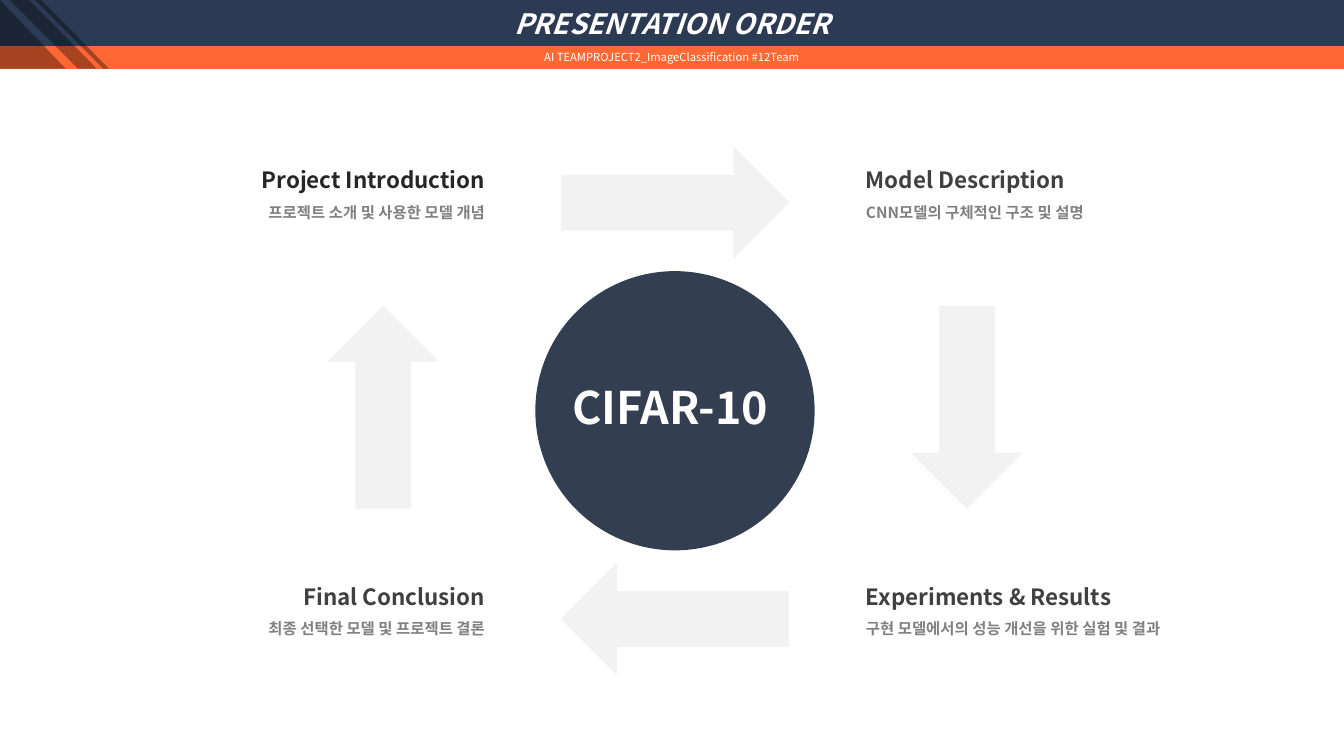
"""Build the presentation order slide: a header band and a four-step cycle."""
import pptx
import pptx.util
import pptx.dml.color
import pptx.enum.shapes
import pptx.enum.text
import pptx.oxml.ns
import lxml.etree

theme = {
    "font": "Noto Sans CJK KR",
    "navy": "2C3A54", "orange": "FF6834", "slate": "333F50",
    "pale": "F2F2F2", "white": "FFFFFF", "black": "000000",
    "first": "262626", "dark": "404040", "gray": "808080",
    "title": 20, "band": 8, "hub": 32, "head": 16, "note": 11, "shade": 35,
}
WIDE, HIGH, UNIT = 133.3, 75, 0.1
KIND = pptx.enum.shapes.MSO_SHAPE
ALIGN = pptx.enum.text.PP_ALIGN
FIT = pptx.enum.text.MSO_AUTO_SIZE
qn = pptx.oxml.ns.qn


def draw(kind, at, tint, edge=False):
    shape = slide.shapes.add_shape(kind, *[pptx.util.Inches(n * UNIT) for n in at])
    shape.shadow.inherit = False
    shape.fill.solid()
    shape.fill.fore_color.rgb = pptx.dml.color.RGBColor.from_string(theme[tint])
    if edge:
        shape.line.color.rgb = shape.fill.fore_color.rgb
        shape.line.width = pptx.util.Pt(1)
    else:
        shape.line.fill.background()
    return shape


def style(para, size, tint, align, bold=True, slant=False):
    para.alignment = align
    for run in para.runs:
        run.font.name = theme["font"]
        run.font.size = pptx.util.Pt(theme[size])
        run.font.bold, run.font.italic = bold, slant
        run.font.color.rgb = pptx.dml.color.RGBColor.from_string(theme[tint])
        east = lxml.etree.Element(qn("a:ea"), typeface=theme["font"])
        run.font.fill
        run.font._element.find(qn("a:latin")).addnext(east)


deck = pptx.Presentation()
deck.slide_width = pptx.util.Inches(WIDE * UNIT)
deck.slide_height = pptx.util.Inches(HIGH * UNIT)
slide = deck.slides.add_slide(deck.slide_layouts[5])

title = slide.shapes.title
title.left, title.top = 0, 0
title.width, title.height = deck.slide_width, pptx.util.Inches(4.6 * UNIT)
title.fill.solid()
title.fill.fore_color.rgb = pptx.dml.color.RGBColor.from_string(theme["navy"])
title.text_frame.text = "PRESENTATION ORDER"
title.text_frame.auto_size = FIT.NONE
title.text_frame.vertical_anchor = pptx.enum.text.MSO_ANCHOR.MIDDLE
style(title.text_frame.paragraphs[0], "title", "white", ALIGN.CENTER, slant=True)

band = draw(KIND.RECTANGLE, (0, 4.6, WIDE, 2.2), "orange", edge=True)
band.text_frame.text = "AI TEAMPROJECT2_ImageClassification #12Team"
band.text_frame.vertical_anchor = pptx.enum.text.MSO_ANCHOR.MIDDLE
style(band.text_frame.paragraphs[0], "band", "white", ALIGN.CENTER, bold=False)

for kind, left, width in (
    (KIND.RIGHT_TRIANGLE, 0, 6.5),
    (KIND.PARALLELOGRAM, 1, 8.6),
    (KIND.PARALLELOGRAM, 3.5, 7.3),
):
    stripe = draw(kind, (left, 0, width, 6.8), "black")
    tone = stripe.element.spPr.find(".//" + qn("a:srgbClr"))
    lxml.etree.SubElement(tone, qn("a:alpha"), val=str(theme["shade"] * 1000))
    if kind == KIND.PARALLELOGRAM:
        stripe.adjustments[0] = 0.987
        stripe.element.spPr.xfrm.set("flipV", "1")
        stripe.rotation = 180

MIDX, MIDY, DISC = 66.95, 40.75, 27.7
draw(KIND.OVAL, (MIDX - DISC / 2, MIDY - DISC / 2, DISC, DISC), "slate")

TOP, BASE, LEFT, RIGHT, SPAN = 14.7, 56, 2.4, 84.9, 46.7
for x, y, align, tint, head, note in (
    (RIGHT, TOP, ALIGN.LEFT, "dark", "Model Description", "CNN모델의 구체적인 구조 및 설명"),
    (RIGHT, BASE, ALIGN.LEFT, "dark", "Experiments & Results",
     "구현 모델에서의 성능 개선을 위한 실험 및 결과"),
    (LEFT, TOP, ALIGN.RIGHT, "first", "Project Introduction", "프로젝트 소개 및 사용한 모델 개념"),
    (LEFT, BASE, ALIGN.RIGHT, "dark", "Final Conclusion", "최종 선택한 모델 및 프로젝트 결론"),
):
    box = slide.shapes.add_textbox(*[pptx.util.Inches(n * UNIT) for n in (x, y, SPAN, 12)])
    box.text_frame.word_wrap = True
    box.text_frame.text = head
    box.text_frame.add_paragraph().text = note
    for para, size, color in zip(box.text_frame.paragraphs, ("head", "note"), (tint, "gray")):
        style(para, size, color, align)
        para.line_spacing = 1.5

hub = slide.shapes.add_textbox(*[pptx.util.Inches(n * UNIT) for n in (55.8, 37.2, 22.5, 6.4)])
hub.text_frame.word_wrap = True
hub.text_frame.auto_size = FIT.SHAPE_TO_FIT_TEXT
hub.text_frame.text = "CIFAR-10"
style(hub.text_frame.paragraphs[0], "hub", "white", ALIGN.LEFT)

THICK = 10.8
for dx, dy, size, turn in (
    (0, -20.65, 22.5, 0),
    (-28.95, -0.35, 20, 270),
    (0, 20.65, 22.5, 180),
    (28.95, -0.35, 20, 90),
):
    at = (MIDX + dx - size / 2, MIDY + dy - THICK / 2, size, THICK)
    draw(KIND.RIGHT_ARROW, at, "pale", edge=True).rotation = turn

deck.save("out.pptx")
